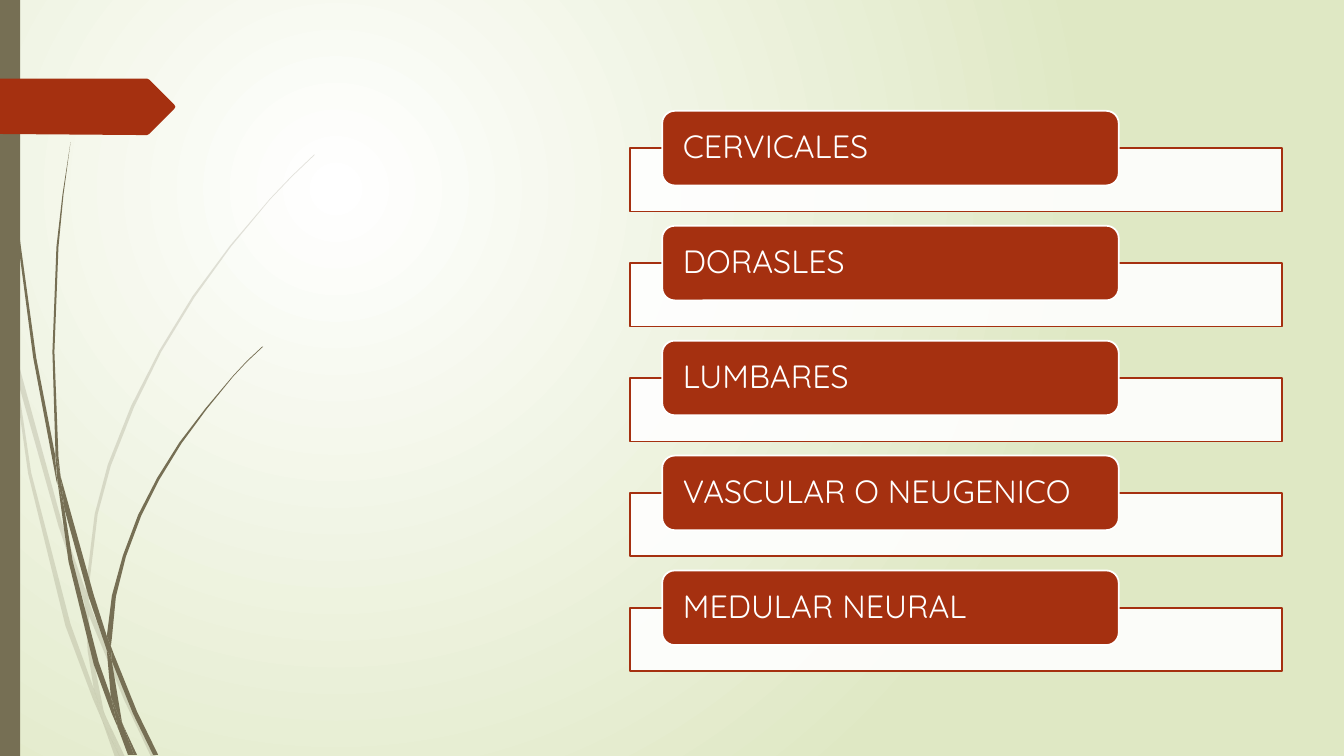
from lxml import etree
from pptx import Presentation
from pptx import util as u
from pptx.dml import color
from pptx.enum import shapes, text
from pptx.oxml import ns

RUST, BROWN, WHITE, LIME = "A53010", "766F54", "FFFFFF", "DFE8C4"
LEVELS = ["CERVICALES", "DORASLES", "LUMBARES", "VASCULAR O NEUGENICO",
          "MEDULAR NEURAL"]
FRAME = {"margin_left": u.Inches(0.17), "margin_right": u.Inches(0.17),
         "margin_top": 0, "margin_bottom": 0, "word_wrap": True,
         "vertical_anchor": text.MSO_ANCHOR.MIDDLE}
PARA = {"alignment": text.PP_ALIGN.LEFT, "line_spacing": 0.9}
FONT = {"name": "Quicksand", "size": u.Pt(23)}

# Outlines of the grass, as (x, y) corners in inches.
PALE = [
    [(0.11, 3.5), (0.09, 3.22), (0, 2.82), (0, 2.99), (0.1, 3.44)],
    [(0.58, 5.22), (0.84, 5.99), (0.85, 5.86), (0.62, 5.2), (0.14, 3.45),
     (0.17, 3.76)],
    [(0.92, 6.07), (0.88, 5.96), (0.88, 6.1), (1.23, 6.94), (1.5, 7.51),
     (1.55, 7.51), (1.27, 6.92)],
    [(1.19, 7.51), (1.24, 7.51), (1.05, 7.11)],
    [(0.93, 6.83), (0.7, 6.19), (0.31, 4.69), (0.17, 3.76), (0.11, 3.5),
     (0.28, 4.7), (0.65, 6.21), (0.92, 6.93), (1.01, 7.14), (0.99, 7.07)],
    [(0.84, 5.99), (0.87, 6.46), (0.93, 6.83), (0.96, 6.92), (1.05, 7.11),
     (1.03, 7.06), (0.91, 6.46), (0.88, 6.1), (0.88, 6.08)],
    [(0.88, 5.84), (0.97, 5.1), (1.1, 4.62), (1.33, 4.04), (1.6, 3.49),
     (1.93, 2.95), (2.29, 2.45), (2.68, 1.98), (2.9, 1.75), (3.12, 1.54),
     (3.12, 1.53), (2.89, 1.75), (2.68, 1.97), (2.28, 2.44), (1.91, 2.94),
     (1.58, 3.48), (1.3, 4.03), (1.07, 4.61), (0.94, 5.1), (0.85, 5.84),
     (0.85, 5.86), (0.88, 5.96)],
    [(1.01, 7.14), (1.14, 7.51), (1.19, 7.51)],
    [(0.88, 6.08), (0.88, 6.1), (0.88, 5.96), (0.85, 5.86), (0.84, 5.99)],
    [(0.96, 6.92), (0.93, 6.83), (0.99, 7.07), (1.01, 7.14), (1.19, 7.51),
     (1.05, 7.11)],
]
DARK = [
    [(0.07, 1.1), (0.17, 2.33), (0.33, 3.55), (0.56, 4.77), (0.57, 4.81),
     (0.55, 4.57), (0.55, 4.53), (0.36, 3.55), (0.19, 2.32), (0.08, 1.09),
     (0.05, 0.48), (0.04, 0), (0.03, 0), (0.04, 0.48)],
    [(0.88, 5.92), (1.06, 6.45), (1.06, 6.33), (1.06, 6.31), (0.93, 5.9),
     (0.6, 4.72), (0.64, 5.05)],
    [(1.13, 6.49), (1.1, 6.41), (1.11, 6.56), (1.32, 7.08), (1.52, 7.49),
     (1.57, 7.49), (1.36, 7.06)],
    [(1.1, 6.91), (0.98, 6.57), (0.72, 5.56), (0.64, 5.05), (0.57, 4.77),
     (0.68, 5.57), (0.93, 6.59), (1.11, 7.08), (1.17, 7.22), (1.16, 7.17)],
    [(0.6, 4.72), (0.58, 4.53), (0.54, 3.49), (0.58, 2.45), (0.63, 1.93),
     (0.7, 1.41), (0.62, 1.93), (0.56, 2.45), (0.52, 3.49), (0.55, 4.49)],
    [(1.33, 7.49), (1.36, 7.49), (1.22, 7.19)],
    [(0.57, 4.77), (0.64, 5.05), (0.6, 4.72), (0.55, 4.49), (0.55, 4.53)],
    [(1.11, 6.33), (1.15, 5.92), (1.25, 5.52), (1.4, 5.12), (1.58, 4.76),
     (1.8, 4.4), (2.05, 4.06), (2.31, 3.74), (2.45, 3.59), (2.61, 3.44),
     (2.6, 3.44), (2.45, 3.58), (2.31, 3.73), (2.04, 4.05), (1.78, 4.39),
     (1.56, 4.74), (1.37, 5.11), (1.22, 5.51), (1.11, 5.91), (1.06, 6.31),
     (1.1, 6.41)],
    [(1.17, 7.22), (1.27, 7.49), (1.31, 7.49)],
    [(1.06, 6.45), (1.1, 6.91), (1.16, 7.06), (1.22, 7.19), (1.21, 7.16),
     (1.11, 6.56), (1.09, 6.51)],
    [(1.06, 6.45), (1.09, 6.51), (1.11, 6.56), (1.1, 6.41), (1.06, 6.31),
     (1.06, 6.33)],
    [(1.16, 7.06), (1.1, 6.91), (1.16, 7.17), (1.17, 7.22), (1.3, 7.49),
     (1.33, 7.49), (1.22, 7.19)],
]
TAG = [(1.73, 1.08), (1.48, 1.33), (1.46, 1.34), (1.36, 1.34), (0, 1.33),
       (0, 0.78), (1.46, 0.78), (1.48, 0.79), (1.73, 1.04), (1.74, 1.06)]


def rgb(code):
    return color.RGBColor.from_string(code)


def apply(item, values):
    for key, value in values.items():
        setattr(item, key, value)


def paint(shape, fill, line=None, alpha=None):
    """Set fill, outline and opacity in percent; drop the shadow."""
    shape.shadow.inherit = False
    shape.fill.solid()
    shape.fill.fore_color.rgb = rgb(fill)
    if alpha:
        tint = shape.element.spPr.find(ns.qn("a:solidFill"))[0]
        etree.SubElement(tint, ns.qn("a:alpha"), val=str(alpha * 1000))
    if line:
        shape.line.color.rgb = rgb(line)
        shape.line.width = u.Pt(1.25)
    else:
        shape.line.fill.background()


def block(slide, kind, box, fill, line=None, alpha=None):
    shape = slide.shapes.add_shape(kind, *map(u.Inches, box))
    paint(shape, fill, line, alpha)
    return shape


def trace(slide, spot, points, fill, alpha=None):
    """Draw a closed outline, its corners measured from the spot."""
    left, top = spot
    edge = [(u.Inches(left + x), u.Inches(top + y)) for x, y in points]
    pen = slide.shapes.build_freeform(*edge[0])
    pen.add_line_segments(edge[1:], close=True)
    paint(pen.convert_to_shape(), fill, alpha=alpha)


def glow(slide):
    """Fill the background with a round gradient from the upper left."""
    fill = slide.background.fill
    fill.gradient()
    for stop, code, place in zip(fill.gradient_stops, (WHITE, LIME), (0, 1)):
        stop.color.rgb = rgb(code)
        stop.position = place
    grad = slide.element.find(".//" + ns.qn("a:gradFill"))
    for lin in grad.findall(ns.qn("a:lin")):
        grad.remove(lin)
    ring = etree.SubElement(grad, ns.qn("a:path"), path="circle")
    etree.SubElement(ring, ns.qn("a:fillToRect"),
                     l="50000", t="50000", r="100000", b="100000")


def margin(slide, box):
    """Draw the grass, the side strip and the arrow tag."""
    left, top, width, height = box
    for blades, alpha in ((PALE, 20), (DARK, None)):
        for blade in blades:
            trace(slide, (left, top), blade, BROWN, alpha)
    block(slide, shapes.MSO_SHAPE.RECTANGLE, box, BROWN)
    trace(slide, (left, top), TAG, RUST)


def levels(slide, box, names):
    """Stack one labelled bar per name."""
    left, top, width, height = box
    tall, rise = 0.63, 0.37
    step = (height - rise - tall) / (len(names) - 1)
    kind = shapes.MSO_SHAPE
    for i, name in enumerate(names):
        y = top + i * step
        block(slide, kind.RECTANGLE, (left, y + rise, width, tall),
              WHITE, RUST, 90)
        pill = block(slide, kind.ROUNDED_RECTANGLE,
                     (left + 0.32, y, width * 0.7, rise * 2), RUST, WHITE)
        frame = pill.text_frame
        apply(frame, FRAME)
        para = frame.paragraphs[0]
        apply(para, PARA)
        run = para.add_run()
        run.text = name
        apply(run.font, FONT)
        run.font.color.rgb = rgb(WHITE)


def main():
    deck = Presentation()
    deck.slide_width, deck.slide_height = u.Inches(40 / 3), u.Inches(7.5)
    slide = deck.slides.add_slide(deck.slide_layouts[6])
    glow(slide)
    margin(slide, (0, 0, 0.2, 7.5))
    levels(slide, (6.25, 1.1, 6.47, 5.56), LEVELS)
    deck.save("out.pptx")


if __name__ == "__main__":
    main()
